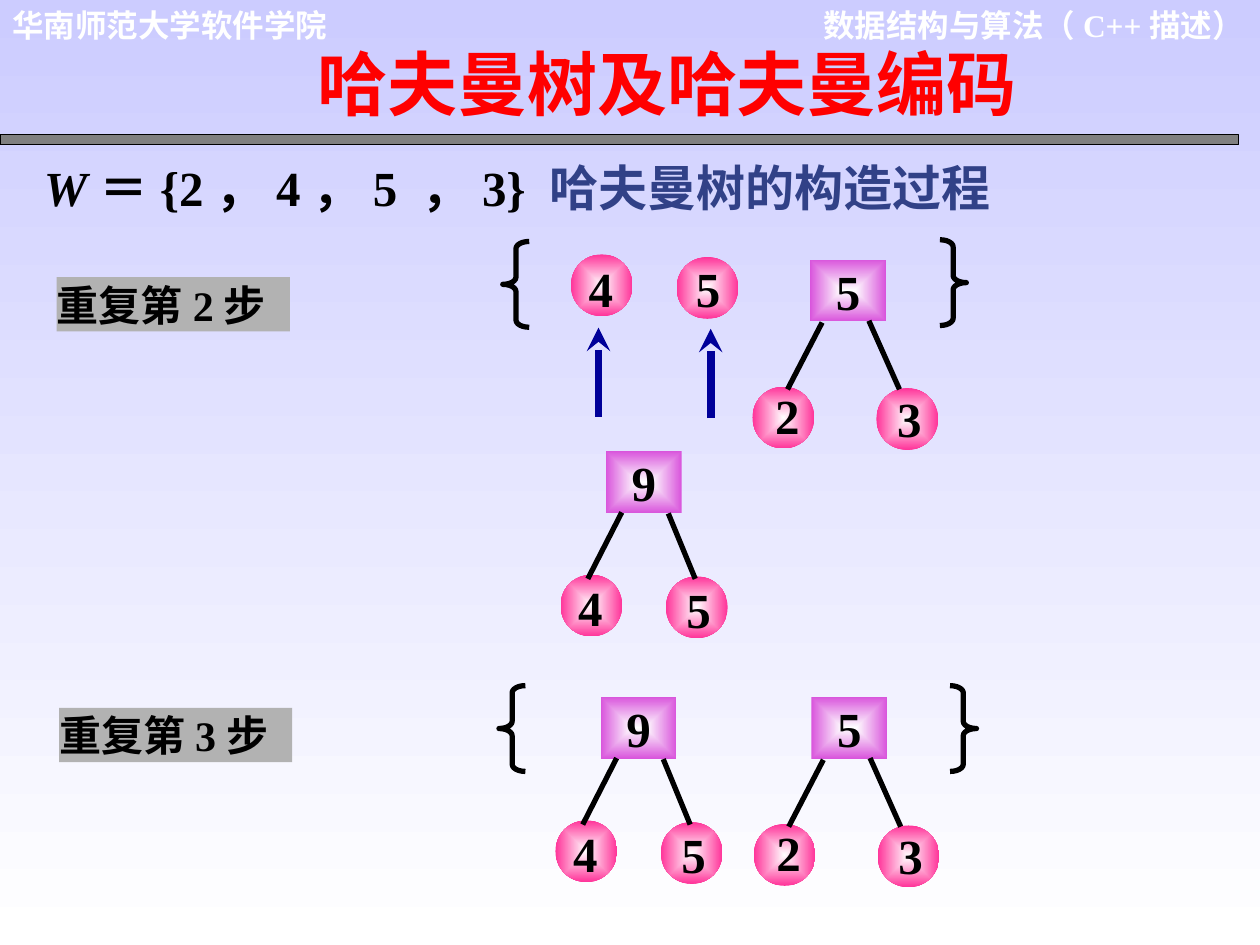
from lxml import etree
from pptx import Presentation
from pptx import util as u
from pptx.dml import color
from pptx.enum import shapes, text
from pptx.oxml import ns

Pt = u.Pt
COLORS = {
    "black": "000000", "white": "FFFFFF", "lavender": "CCCCFF", "red": "FF0000",
    "blue": "314187", "navy": "000099", "bar": "808080", "step": "B2B2B2",
    "leaf": "FF3399", "root": "D955DC",
}
RGB = {name: color.RGBColor.from_string(value) for name, value in COLORS.items()}
LATIN, CJK = "Times New Roman", "Noto Sans CJK SC"
LEFT, CENTER, RIGHT = text.PP_ALIGN.LEFT, text.PP_ALIGN.CENTER, text.PP_ALIGN.RIGHT
TOP, MIDDLE = text.MSO_ANCHOR.TOP, text.MSO_ANCHOR.MIDDLE


def write(shape, runs, size, align=LEFT, anchor=MIDDLE, inset=(0, 0)):
    frame = shape.text_frame
    layout = {
        "word_wrap": True, "auto_size": text.MSO_AUTO_SIZE.NONE, "vertical_anchor": anchor,
        "margin_left": Pt(inset[0]), "margin_right": Pt(inset[0]),
        "margin_top": Pt(inset[1]), "margin_bottom": Pt(inset[1]),
    }
    for name, value in layout.items():
        setattr(frame, name, value)
    paragraph = frame.paragraphs[0]
    paragraph.alignment = align
    for words, font, ink, italic in runs:
        run = paragraph.add_run()
        run.text = words
        style = {"name": font, "size": Pt(size), "bold": True, "italic": italic}
        for name, value in style.items():
            setattr(run.font, name, value)
        run.font.color.rgb = RGB[ink]
        east_asian = etree.SubElement(run.font._element, ns.qn("a:ea"))
        east_asian.set("typeface", CJK)


def add_box(kind, box, fill=None, radial=None):
    shape = slide.shapes.add_shape(kind, *map(Pt, box))
    shape.shadow.inherit = False
    shape.line.fill.background()
    if radial:
        shape.fill.gradient()
        for stop, name in zip(shape.fill.gradient_stops, ("white", radial)):
            stop.color.rgb = RGB[name]
        gradient = shape._element.spPr.find(ns.qn("a:gradFill"))
        gradient.remove(gradient.find(ns.qn("a:lin")))
        center = etree.SubElement(gradient, ns.qn("a:path"), {"path": "rect"})
        sides = dict.fromkeys("ltrb", "50000")
        etree.SubElement(center, ns.qn("a:fillToRect"), sides)
    elif fill:
        shape.fill.solid()
        shape.fill.fore_color.rgb = RGB[fill]
    else:
        shape.fill.background()
    return shape


presentation = Presentation()
presentation.slide_width, presentation.slide_height = Pt(720), Pt(540)
slide = presentation.slides.add_slide(presentation.slide_layouts[5])

background = slide.background.fill
background.gradient()
background.gradient_angle = 270
for stop, name in zip(background.gradient_stops, ("lavender", "white")):
    stop.color.rgb = RGB[name]

title = slide.shapes.title
for name, value in {"left": 103.7, "top": 19.4, "width": 555, "height": 55.4}.items():
    setattr(title, name, Pt(value))
write(title, [("哈夫曼树及哈夫曼编码", LATIN, "red", False)], 40, CENTER, inset=(7.2, 3.6))

bar = add_box(shapes.MSO_SHAPE.RECTANGLE, (0, 77, 707.8, 5.8), "bar")
bar.line.color.rgb = RGB["black"]
bar.line.width = Pt(0.75)

weights = [("W", LATIN, "black", True)]
for words, font in [
    ("＝", CJK), ("{2", LATIN), ("，", CJK), ("4", LATIN), ("，", CJK),
    ("5 ", LATIN), ("，", CJK), ("3} ", LATIN),
]:
    weights.append((words, font, "black", False))
weights.append(("哈夫曼树的构造过程", CJK, "blue", False))

for box, runs, size, align in [
    ((451.4, 0, 266.4, 28.8), [("数据结构与算法（C++描述）", LATIN, "white", False)], 18, RIGHT),
    ((0, 0, 196, 28.8), [("华南师范大学软件学院", "Arial", "white", False)], 18, LEFT),
    ((18, 86.4, 666, 41), weights, 28, LEFT),
]:
    write(slide.shapes.add_textbox(*map(Pt, box)), runs, size, align, inset=(7.2, 3.6))

for left, top, words in [(32.4, 158.4, "重复第2步"), (33.8, 404.6, "重复第3步")]:
    step = add_box(shapes.MSO_SHAPE.RECTANGLE, (left, top, 133.2, 31), "step")
    write(step, [(words, LATIN, "black", False)], 24)

for kind, left, top in [
    (shapes.MSO_SHAPE.LEFT_BRACE, 287.3, 138), (shapes.MSO_SHAPE.RIGHT_BRACE, 537.1, 137),
    (shapes.MSO_SHAPE.LEFT_BRACE, 285.1, 391.8), (shapes.MSO_SHAPE.RIGHT_BRACE, 542.9, 391.8),
]:
    brace = add_box(kind, (left, top, 15.1, 49))
    brace.adjustments[0] = 0.27
    brace.line.color.rgb = RGB["black"]
    brace.line.width = Pt(3)

WIDE = {
    "leaves": [(-33, 72.7, -28.1, 72.1), (37.8, 73.5, 41.5, 73.8)],
    "branches": [(6.8, 36, -13, 74.2), (33.5, 35, 51, 74.2)],
}
NARROW = {
    "leaves": [(-26, 70.6, -24, 72.4), (34.2, 71.6, 37.8, 73.1)],
    "branches": [(9, 35, -10.4, 73), (35.6, 35.6, 51, 73)],
}
leaves = [("4", 326.2, 145.4, 328.3, 147.6), ("5", 386.6, 146.9, 389.5, 147.6)]
lines = [(x, y, x, y - 51.1, "navy", 4.5) for x, y in [(406.1, 239), (342, 238.3)]]
for root, children, x, y, form in [
    ("5", "23", 463, 148.3, WIDE), ("9", "45", 346.3, 257.8, NARROW),
    ("9", "45", 343.4, 398.2, NARROW), ("5", "23", 463.7, 398.2, WIDE),
]:
    square = add_box(shapes.MSO_SHAPE.RECTANGLE, (x, y, 43.2, 35.3), radial="root")
    write(square, [(root, LATIN, "black", False)], 28, CENTER)
    for value, (left, top, label_left, label_top) in zip(children, form["leaves"]):
        leaves.append((value, x + left, y + top, x + label_left, y + label_top))
    for x1, y1, x2, y2 in form["branches"]:
        lines.append((x + x1, y + y1, x + x2, y + y2, "black", 3))

for value, left, top, label_left, label_top in leaves:
    add_box(shapes.MSO_SHAPE.OVAL, (left, top, 35.3, 35.3), radial="leaf")
    label = slide.shapes.add_textbox(*map(Pt, (label_left, label_top, 30.2, 41)))
    write(label, [(value, LATIN, "black", False)], 28, CENTER, TOP)

for *ends, ink, width in lines:
    line = slide.shapes.add_connector(shapes.MSO_CONNECTOR.STRAIGHT, *map(Pt, ends))
    line.line.color.rgb = RGB[ink]
    line.line.width = Pt(width)
    if ink == "navy":
        etree.SubElement(line.line._get_or_add_ln(), ns.qn("a:tailEnd"), {"type": "stealth"})
    etree.SubElement(line._element.spPr, ns.qn("a:effectLst"))

presentation.save("out.pptx")
